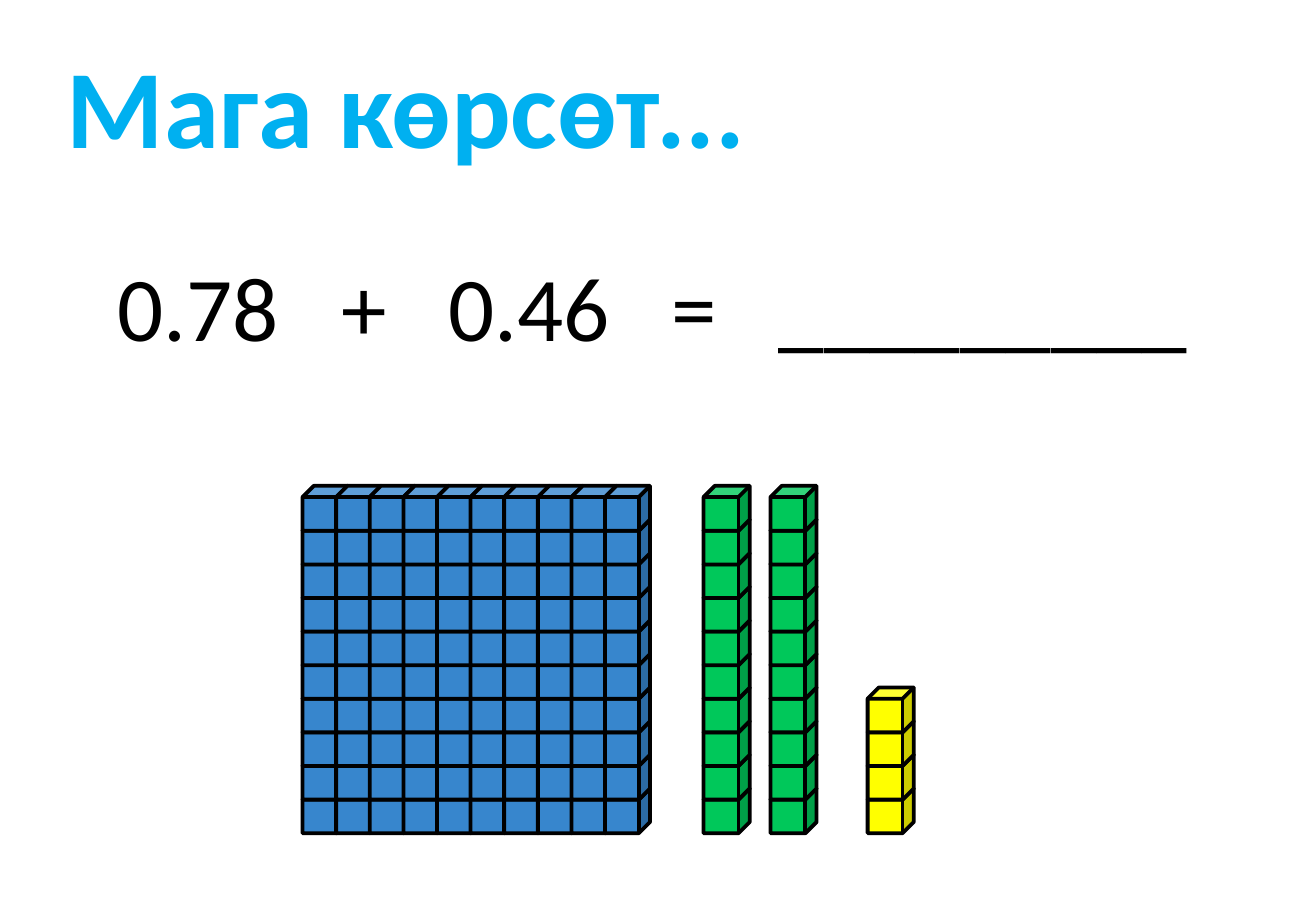
import pptx
import pptx.util
import pptx.dml.color
import pptx.enum.shapes
import pptx.enum.text
import pptx.oxml

Inches = pptx.util.Inches
Pt = pptx.util.Pt
hues = {"title": "00B0F0", "text": "000000", "line": "000000",
        "ones": "FFFF00", "tens": "00C85A", "whole": "3786CD"}


def tint(name):
    return pptx.dml.color.RGBColor.from_string(hues[name])


def write(box, text, inset, stops, form, hue):
    left, top, width, height = map(Inches, box)
    frame = slide.shapes.add_textbox(left, top, width, height).text_frame
    frame.word_wrap = True
    frame.auto_size = pptx.enum.text.MSO_AUTO_SIZE.SHAPE_TO_FIT_TEXT
    frame.margin_left = Inches(inset)
    para = frame.paragraphs[0]
    if stops:
        tabs = pptx.oxml.parse_xml(
            '<a:tabLst xmlns:a="http://schemas.openxmlformats.org/drawingml/2006/main">'
            + "".join(f'<a:tab pos="{Inches(stop)}" algn="l"/>' for stop in stops)
            + "</a:tabLst>")
        para._p.get_or_add_pPr().append(tabs)
    run = para.add_run()
    run.text = text
    for key, value in form.items():
        setattr(run.font, key, value)
    run.font.color.rgb = tint(hue)


deck = pptx.Presentation()
deck.slide_width = Inches(10.83)
deck.slide_height = Inches(7.5)
slide = deck.slides.add_slide(deck.slide_layouts[6])

write((0.87, 2.01, 9.1, 1.01), "0.78\t+\t0.46\t=\t_________", 0.1,
      (1.84, 2.72, 4.56, 5.44), {"name": "Calibri", "size": Pt(54)}, "text")

base = 6.49
step = (base - 4) / 9
blocks = [
    (7.14, 1, 4, 0.38, "ones"),
    (2.49, 10, 10, 0.37, "whole"),
    (6.34, 1, 10, 0.38, "tens"),
    (5.79, 1, 10, 0.38, "tens"),
]
for left, cols, rows, width, hue in blocks:
    group = slide.shapes.add_group_shape()
    for col in range(cols):
        for row in range(rows):
            cube = group.shapes.add_shape(
                pptx.enum.shapes.MSO_SHAPE.CUBE,
                Inches(left + col * step), Inches(base - row * step),
                Inches(width), Inches(0.37))
            cube.shadow.inherit = False
            cube.fill.solid()
            cube.fill.fore_color.rgb = tint(hue)
            cube.line.color.rgb = tint("line")
            cube.line.width = Pt(2.25)

write((0.24, 0.26, 7.54, 1.21), "Мага көрсөт...", 0.31, (),
      {"name": "Calibri", "size": Pt(66), "bold": True}, "title")

deck.save("out.pptx")
